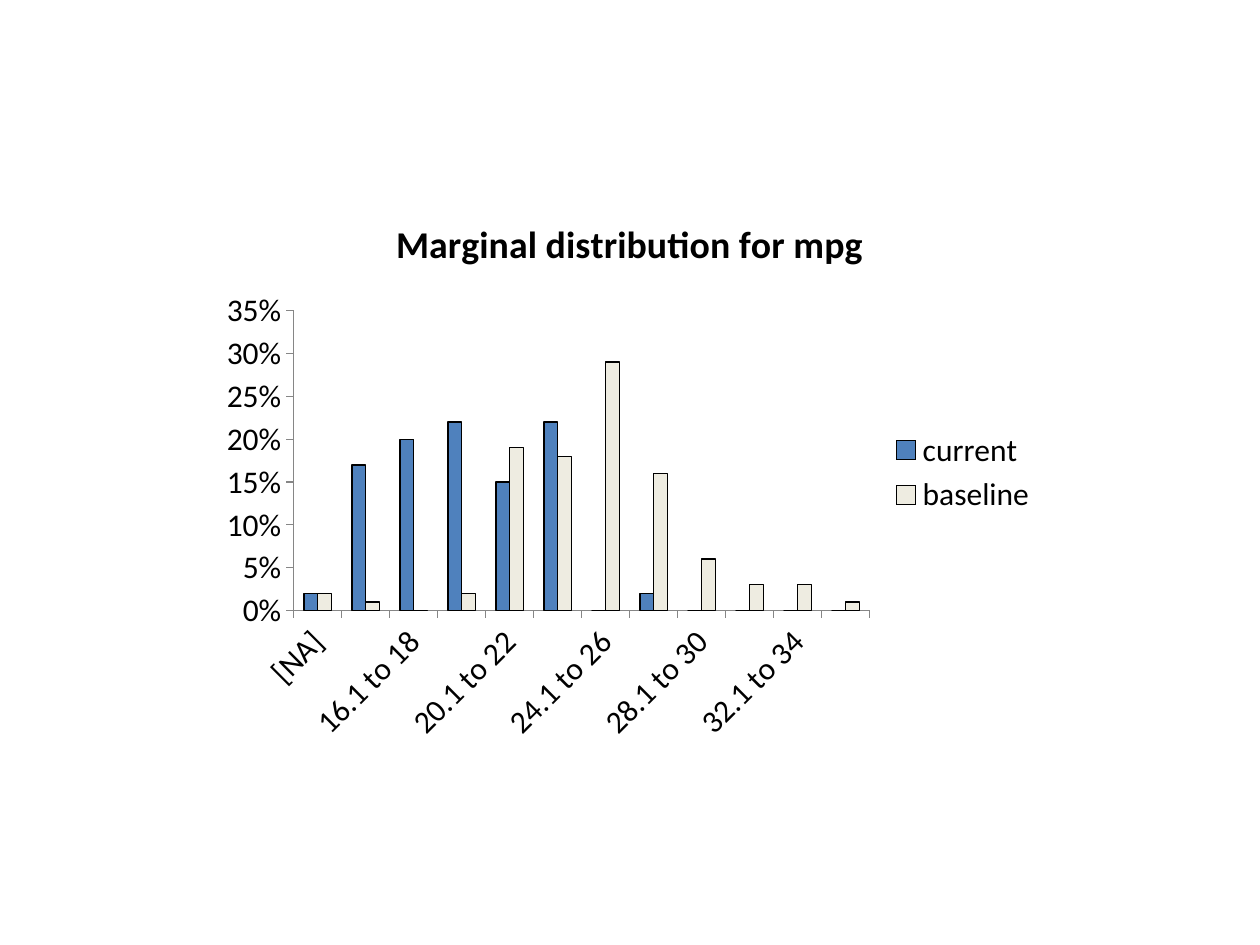
"""Builds a slide with a column chart comparing current and baseline mpg distributions."""
from pptx import Presentation
from pptx.chart.data import CategoryChartData
from pptx.dml.color import RGBColor
from pptx.enum.chart import XL_CHART_TYPE, XL_LEGEND_POSITION, XL_TICK_MARK
from pptx.util import Pt

COLUMNS = XL_CHART_TYPE.COLUMN_CLUSTERED
LEGEND_RIGHT = XL_LEGEND_POSITION.RIGHT
TICK_OUTSIDE = XL_TICK_MARK.OUTSIDE
TICK_NONE = XL_TICK_MARK.NONE

BLACK = RGBColor(0x00, 0x00, 0x00)
AXIS_GRAY = RGBColor(0x86, 0x86, 0x86)
BLUE = RGBColor(0x4F, 0x81, 0xBD)
CREAM = RGBColor(0xEE, 0xEC, 0xE1)


def format_font(font, size=18, bold=False, color=BLACK, name="Calibri"):
    font.name = name
    font.size = Pt(size)
    font.bold = bold
    font.color.rgb = color


def write_text(frame, text, **font_format):
    frame.text = text
    format_font(frame.paragraphs[0].runs[0].font, **font_format)


mpg_ranges = ["[NA]"] + [f"{low}.1 to {low + 2}" for low in range(14, 34, 2)] + ["44.1 to 46"]
distributions = [
    ("current", BLUE, [0.02, 0.17, 0.2, 0.22, 0.15, 0.22, 0, 0.02, 0, 0, 0, 0]),
    ("baseline", CREAM, [0.02, 0.01, 0, 0.02, 0.19, 0.18, 0.29, 0.16, 0.06, 0.03, 0.03, 0.01]),
]

presentation = Presentation()
presentation.slide_width = Pt(720)
presentation.slide_height = Pt(540)
slide = presentation.slides.add_slide(presentation.slide_layouts[6])

mpg_data = CategoryChartData(number_format="0%")
mpg_data.categories = mpg_ranges
for name, _, shares in distributions:
    mpg_data.add_series(name, shares)

chart = slide.shapes.add_chart(COLUMNS, Pt(120), Pt(110), Pt(480), Pt(320), mpg_data).chart
format_font(chart.font)
chart.has_title = True
write_text(chart.chart_title.text_frame, "Marginal distribution for mpg", size=21.6, bold=True)
chart.chart_title.include_in_layout = False

chart.has_legend = True
chart.legend.position = LEGEND_RIGHT
chart.legend.include_in_layout = False

for axis in (chart.category_axis, chart.value_axis):
    axis.has_major_gridlines = False
    axis.major_tick_mark = TICK_OUTSIDE
    axis.minor_tick_mark = TICK_NONE
    axis.format.line.color.rgb = AXIS_GRAY
    axis.format.line.width = Pt(0.75)

share_axis = chart.value_axis
share_axis.minimum_scale = 0
share_axis.maximum_scale = 0.35
share_axis.major_unit = 0.05
share_axis.tick_labels.number_format = "0%"
share_axis.tick_labels.number_format_is_linked = False

columns = chart.plots[0]
columns.gap_width = 150
columns.overlap = 0
columns.vary_by_categories = False
for series, (_, color, _) in zip(columns.series, distributions):
    series.invert_if_negative = False
    series.format.fill.solid()
    series.format.fill.fore_color.rgb = color
    series.format.line.color.rgb = BLACK
    series.format.line.width = Pt(0.75)

presentation.save("out.pptx")
